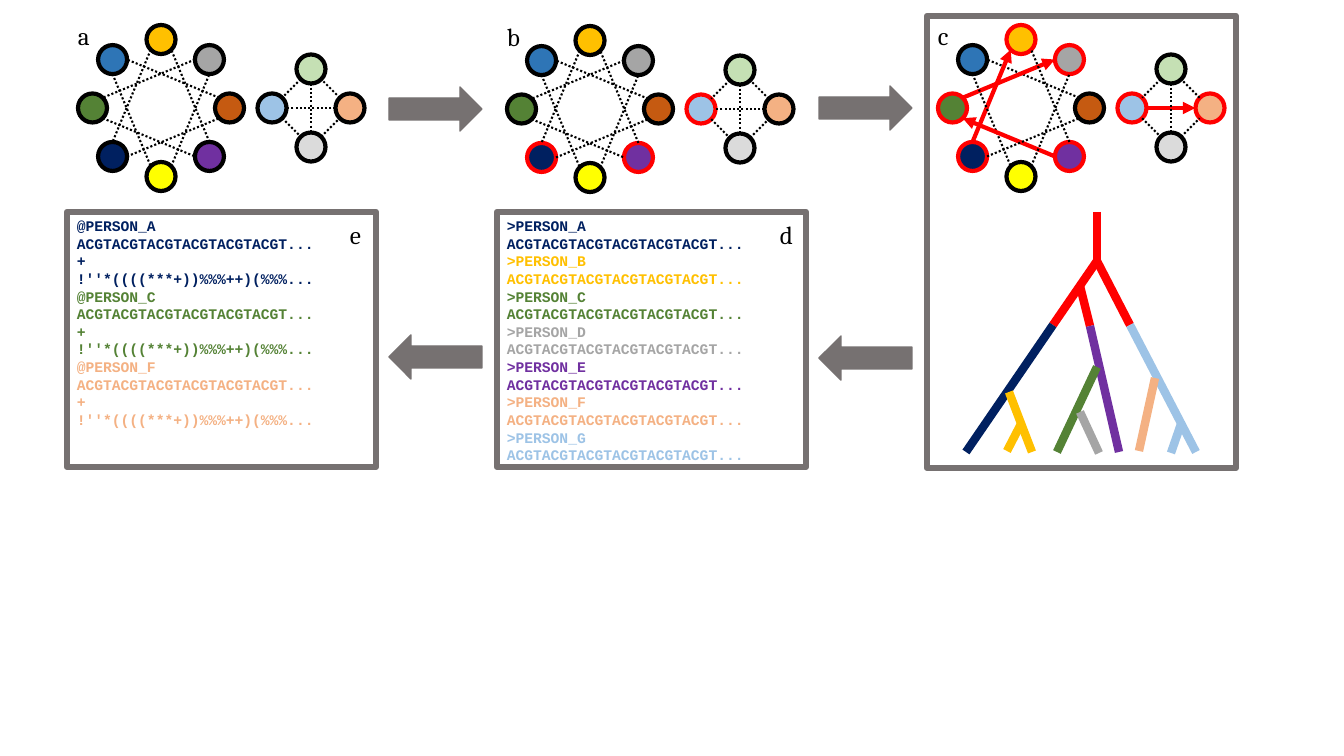
from math import cos, radians, sin

from lxml.etree import SubElement
from pptx import Presentation
from pptx.dml.color import RGBColor
from pptx.enum.dml import MSO_LINE
from pptx.enum.shapes import MSO_CONNECTOR, MSO_SHAPE
from pptx.enum.text import MSO_ANCHOR, MSO_AUTO_SIZE, PP_ALIGN
from pptx.oxml.ns import qn
from pptx.util import Pt

EMU_PER_PX = 914400 / 100.8
NODE_RADIUS = 14.5
COLORS = {
    "black": "000000", "red": "FF0000", "frame": "767171",
    "orange": "C55A11", "gray": "A5A5A5", "gold": "FFC000", "blue": "2E75B6",
    "green": "548235", "navy": "002060", "yellow": "FFFF00", "purple": "7030A0",
    "peach": "F4B183", "mint": "C5E0B4", "sky": "9DC3E6", "silver": "DBDBDB",
}
LARGE_CLUSTER = ["orange", "gray", "gold", "blue", "green", "navy", "yellow", "purple"]
SMALL_CLUSTER = ["peach", "mint", "sky", "silver"]
LARGE_EDGES = [(angle, 135) for angle in range(0, 360, 45)]
SMALL_EDGES = [(angle, 90) for angle in range(0, 360, 90)] + [(0, 180), (90, 180)]
SEEDS = {"navy", "purple", "sky"}
INFECTED = SEEDS | {"gold", "green", "gray", "peach"}
TRANSMISSIONS = {("gold", "navy"), ("green", "purple"), ("gray", "green"), ("peach", "sky")}
BASES = "ACGT" * 6 + "..."
QUALITY = "!''*((((***+))%%%++)(%%%..."
PEOPLE = {"A": "navy", "B": "gold", "C": "green", "D": "gray",
          "E": "purple", "F": "peach", "G": "sky"}
BRANCHES = [
    ("red", 1097, 212, 1097, 261), ("red", 1097, 261, 1053, 325),
    ("red", 1097, 261, 1130, 325), ("red", 1080, 286, 1090, 326),
    ("navy", 1053, 325, 966, 452), ("purple", 1090, 326, 1119, 452),
    ("sky", 1130, 325, 1196, 452), ("gold", 1009, 392, 1032, 452),
    ("peach", 1155, 378, 1139, 451), ("green", 1097, 367, 1057, 452),
    ("gray", 1080, 412, 1099, 453), ("gold", 1021, 424, 1007, 451),
    ("sky", 1181, 424, 1171, 453),
]


def px(*lengths):
    return [round(length * EMU_PER_PX) for length in lengths]


def rgb(color):
    return RGBColor.from_string(COLORS[color])


def polar(center, radius, angle):
    x, y = center
    return x + radius * cos(radians(angle)), y - radius * sin(radians(angle))


def add_outlined(shapes, preset, box, fill, outline, weight):
    shape = shapes.add_shape(preset, *px(*box))
    shape.shadow.inherit = False
    if fill:
        shape.fill.solid()
        shape.fill.fore_color.rgb = rgb(fill)
    else:
        shape.fill.background()
    shape.line.color.rgb = rgb(outline)
    shape.line.width = Pt(weight)
    return shape


def add_line(shapes, start, end, color, weight, dotted=False, arrow_at_start=False):
    connector = shapes.add_connector(MSO_CONNECTOR.STRAIGHT, *px(*start, *end))
    connector.line.color.rgb = rgb(color)
    connector.line.width = Pt(weight)
    if dotted:
        connector.line.dash_style = MSO_LINE.ROUND_DOT
    if arrow_at_start:
        SubElement(connector.line._get_or_add_ln(), qn("a:headEnd"), type="triangle")
    SubElement(connector._element.spPr, qn("a:effectLst"))


def add_run(paragraph, text, font, size, color, bold=False):
    run = paragraph.add_run()
    run.text = text
    run.font.name = font
    run.font.size = Pt(size)
    run.font.bold = bold
    run.font.color.rgb = rgb(color)


def add_letter(shapes, letter, left, top):
    frame = shapes.add_textbox(*px(left, top, 29, 40)).text_frame
    frame.word_wrap = False
    frame.auto_size = MSO_AUTO_SIZE.SHAPE_TO_FIT_TEXT
    frame.paragraphs[0].alignment = PP_ALIGN.CENTER
    add_run(frame.paragraphs[0], letter, "Cambria", 18, "black")


def add_cluster(shapes, center, radius, members, edges, infected, transmissions):
    step = 360 // len(members)
    people = {i * step: name for i, name in enumerate(members)}
    places = {angle: polar(center, radius, angle) for angle in people}
    for angle, name in people.items():
        x, y = places[angle]
        box = (x - NODE_RADIUS, y - NODE_RADIUS, 2 * NODE_RADIUS, 2 * NODE_RADIUS)
        outline = "red" if name in infected else "black"
        add_outlined(shapes, MSO_SHAPE.OVAL, box, name, outline, 3)
    for first, span in edges:
        second = (first + span) % 360
        turn = max(span, 135)
        start = polar(places[first], NODE_RADIUS, first + turn)
        end = polar(places[second], NODE_RADIUS, second - turn)
        if (people[first], people[second]) in transmissions:
            add_line(shapes, start, end, "red", 3, arrow_at_start=True)
        else:
            add_line(shapes, start, end, "black", 1.5, dotted=True)


def add_network(slide, letter, x, y, infected=(), transmissions=()):
    shapes = slide.shapes.add_group_shape().shapes
    add_cluster(shapes, (x, y), 68.5, LARGE_CLUSTER, LARGE_EDGES, infected, transmissions)
    add_cluster(shapes, (x + 150, y), 39, SMALL_CLUSTER, SMALL_EDGES, infected, transmissions)
    add_letter(shapes, letter, x - 93, y - 93)


def add_step_arrow(slide, left, top, backward=False):
    arrow = add_outlined(slide.shapes, MSO_SHAPE.RIGHT_ARROW, (left, top, 93, 44),
                         "frame", "frame", 1)
    if backward:
        arrow._element.spPr.xfrm.set("flipH", "1")


def add_sequences(slide, letter, left, people, marker, body):
    shapes = slide.shapes.add_group_shape().shapes
    panel = add_outlined(shapes, MSO_SHAPE.RECTANGLE, (left, 212, 309, 255), None, "frame", 4.5)
    frame = panel.text_frame
    frame.word_wrap = True
    frame.vertical_anchor = MSO_ANCHOR.TOP
    lines = [(text, PEOPLE[person]) for person in people
             for text in (f"{marker}PERSON_{person}", *body)]
    for i, (text, color) in enumerate(lines):
        paragraph = frame.add_paragraph() if i else frame.paragraphs[0]
        paragraph.alignment = PP_ALIGN.LEFT
        add_run(paragraph, text, "Courier New", 10.5, color, bold=True)
    add_letter(shapes, letter, left + 273, 214)


def add_tree(slide):
    shapes = slide.shapes.add_group_shape().shapes
    for color, x1, y1, x2, y2 in BRANCHES:
        add_line(shapes, (x1, y1), (x2, y2), color, 6)


def main():
    presentation = Presentation()
    presentation.slide_width, presentation.slide_height = px(1344, 756)
    slide = presentation.slides.add_slide(presentation.slide_layouts[6])
    add_network(slide, "a", 161, 108)
    add_step_arrow(slide, 389, 87)
    add_network(slide, "b", 590, 109, SEEDS)
    add_step_arrow(slide, 819, 86)
    add_network(slide, "c", 1021, 108, INFECTED, TRANSMISSIONS)
    add_outlined(slide.shapes, MSO_SHAPE.RECTANGLE, (927, 16, 309, 452), None, "frame", 4.5)
    add_step_arrow(slide, 819, 336, backward=True)
    add_step_arrow(slide, 389, 335, backward=True)
    add_sequences(slide, "d", 497, "ABCDEFG", ">", [BASES])
    add_sequences(slide, "e", 67, "ACF", "@", [BASES, "+", QUALITY])
    add_tree(slide)
    presentation.save("out.pptx")


main()
